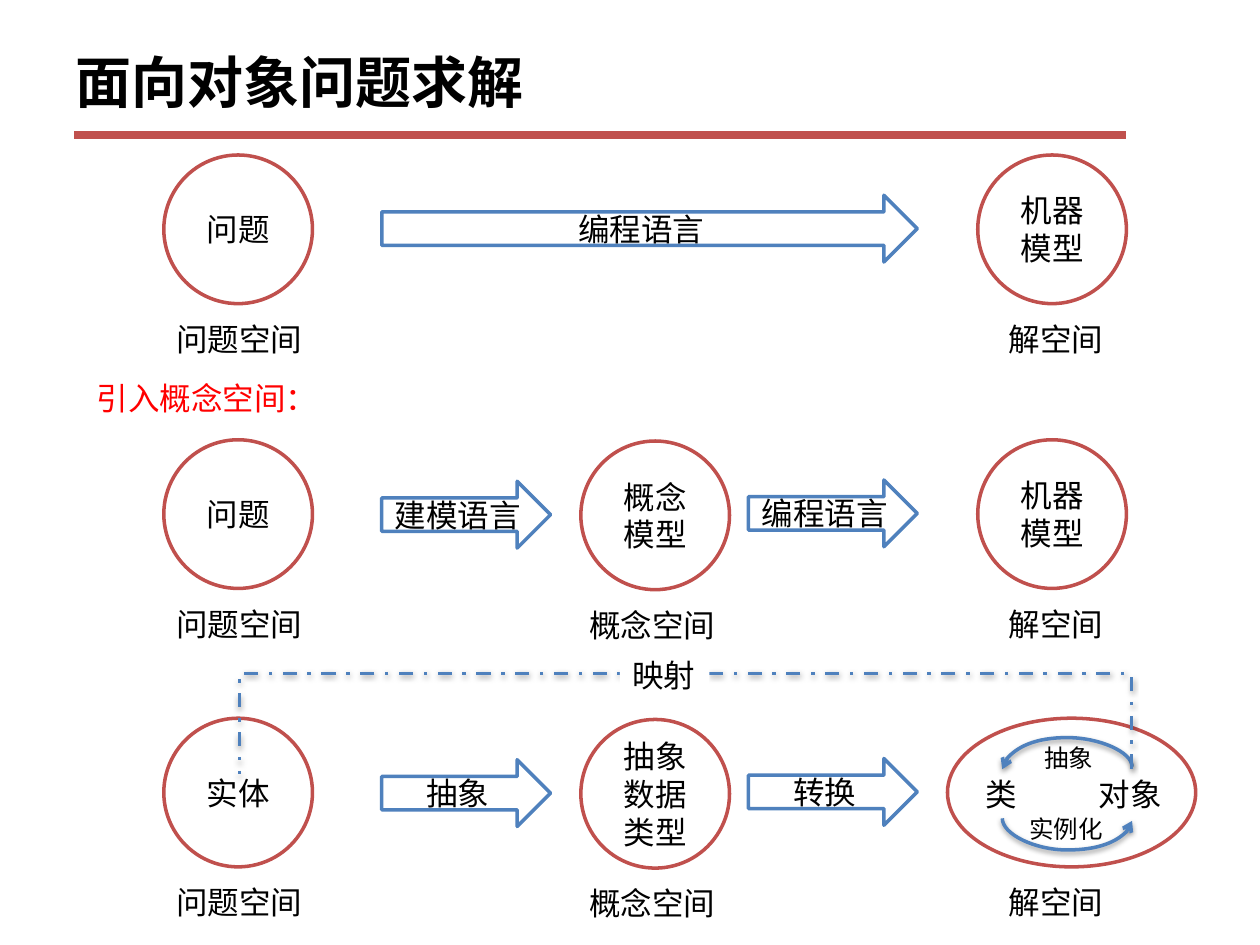
from lxml import etree
from pptx import Presentation
from pptx.dml.color import RGBColor
from pptx.enum import dml, shapes, text
from pptx.oxml.ns import qn
from pptx.util import Inches, Pt

FONT = "Noto Sans CJK SC"
RED, BLUE, BLACK, WHITE = "C0504D", "4F81BD", "000000", "FFFFFF"
DIAMETER = 1.18


def rgb(value):
    return RGBColor.from_string(value)


def inches(*values):
    return [Inches(v) for v in values]


def child(parent, tag, **attrs):
    return etree.SubElement(parent, qn(tag), {k: str(v) for k, v in attrs.items()})


def write(sp, words, size=18, color=BLACK, bold=False, align=None):
    p = sp.text_frame.paragraphs[0]
    p.alignment = align
    r = p.add_run()
    r.text = words
    r.font.name = FONT
    r.font.size = Pt(size)
    r.font.bold = bold
    r.font.color.rgb = rgb(color)
    child(r.font._element, "a:ea", typeface=FONT)


def add_label(slide, box, words, size=18, color=BLACK):
    sp = slide.shapes.add_textbox(*inches(*box))
    sp.text_frame.word_wrap = False
    sp.text_frame.auto_size = text.MSO_AUTO_SIZE.SHAPE_TO_FIT_TEXT
    write(sp, words, size, color)
    return sp


def add_outlined(slide, kind, box, color, words=None):
    sp = slide.shapes.add_shape(kind, *inches(*box))
    sp.shadow.inherit = False
    sp.fill.solid()
    sp.fill.fore_color.rgb = rgb(WHITE)
    sp.line.color.rgb = rgb(color)
    sp.line.width = Pt(2)
    sp.text_frame.vertical_anchor = text.MSO_ANCHOR.MIDDLE
    if words:
        write(sp, words, align=text.PP_ALIGN.CENTER)


def add_line(slide, kind, begin, end, color, width):
    line = slide.shapes.add_connector(kind, *inches(*begin, *end))
    line.line.color.rgb = rgb(color)
    line.line.width = Pt(width)
    effects = child(line._element.spPr, "a:effectLst")
    return line, effects


def add_loop(slide, kind, begin, end, turn, bend, arrow=None, dash=None):
    line, effects = add_line(slide, kind, begin, end, BLUE, 2)
    props = line._element.spPr
    props.find(qn("a:xfrm")).set("rot", str(turn * 60000))
    guides = props.find(qn("a:prstGeom")).find(qn("a:avLst"))
    if guides is None:
        guides = child(props.find(qn("a:prstGeom")), "a:avLst")
    child(guides, "a:gd", name="adj1", fmla=f"val {round(bend * 100000)}")
    if dash:
        line.line.dash_style = dash
    if arrow:
        child(props.find(qn("a:ln")), arrow, type="arrow")
    shadow = child(effects, "a:outerShdw", blurRad=Pt(3.1), dist=Pt(1.6),
                   dir=90 * 60000, rotWithShape=0)
    child(child(shadow, "a:srgbClr", val=BLACK), "a:alpha", val=38000)


def add_header(slide, left, top, width, height):
    sp = slide.shapes.add_textbox(*inches(left, top, width, height))
    sp.text_frame.word_wrap = True
    sp.text_frame.vertical_anchor = text.MSO_ANCHOR.MIDDLE
    write(sp, "面向对象问题求解", 32, bold=True)
    add_line(slide, shapes.MSO_CONNECTOR.STRAIGHT, (0.59, 1.07), (8.94, 1.07), RED, 4.5)


def add_space(slide, left, top, width, words, label, label_left, label_width):
    add_outlined(slide, shapes.MSO_SHAPE.OVAL, (left, top, width, DIAMETER), RED, words)
    add_label(slide, (label_left, top + 1.26, label_width, 0.4), label)


def add_arrow(slide, left, top, width, words):
    add_outlined(slide, shapes.MSO_SHAPE.RIGHT_ARROW, (left, top + 0.32, width, 0.53), BLUE, words)


def add_row(slide, top, problem, solution, arrows, concept=None, solution_box=(7.76, DIAMETER)):
    add_space(slide, 1.3, top, DIAMETER, problem, "问题空间", 1.3, 1.21)
    add_space(slide, solution_box[0], top, solution_box[1], solution, "解空间", 7.91, 0.96)
    if concept:
        add_space(slide, 4.61, top + 0.01, DIAMETER, concept, "概念空间", 4.58, 1.21)
        add_arrow(slide, 3.03, top + 0.01, 1.34, arrows[0])
        add_arrow(slide, 5.94, top, 1.34, arrows[1])
    else:
        add_arrow(slide, 3.03, top, 4.25, arrows[0])


def add_class_cycle(slide, left, top):
    add_label(slide, (left, top + 0.4, 0.45, 0.4), "类")
    add_label(slide, (left + 0.9, top + 0.4, 0.71, 0.4), "对象")
    x, upper, lower = left + 0.74, top - 0.12, top + 0.29
    curve = shapes.MSO_CONNECTOR.CURVE
    add_loop(slide, curve, (x + 0.02, upper + 1.03), (x, upper), 90, 12.5, "a:headEnd")
    add_loop(slide, curve, (x + 0.02, lower), (x, lower + 1.03), 270, 12.5, "a:tailEnd")
    add_label(slide, (left + 0.35, top + 0.71, 0.79, 0.34), "实例化", 14)
    add_label(slide, (left + 0.47, top + 0.15, 0.59, 0.34), "抽象", 14)


def add_mapping(slide, left, top, width, height):
    add_loop(slide, shapes.MSO_CONNECTOR.ELBOW, (left + width, top + height), (left, top),
             270, -18.82, dash=dml.MSO_LINE.DASH_DOT)
    sp = add_label(slide, (4.92, 5.16, 0.71, 0.4), "映射")
    sp.fill.solid()
    sp.fill.fore_color.rgb = rgb(WHITE)


def main():
    prs = Presentation()
    prs.slide_width, prs.slide_height = inches(10, 7.5)
    slide = prs.slides.add_slide(prs.slide_layouts[6])
    add_header(slide, 0.5, 0.21, 9, 0.87)
    add_row(slide, 1.23, "问题", "机器模型", ["编程语言"])
    add_label(slide, (0.67, 2.96, 1.97, 0.4), "引入概念空间：", color="FF0000")
    add_row(slide, 3.49, "问题", "机器模型", ["建模语言", "编程语言"], "概念模型")
    add_row(slide, 5.7, "实体", None, ["抽象", "转换"], "抽象数据类型", (7.52, 1.97))
    add_class_cycle(slide, 7.72, 5.7)
    add_mapping(slide, 5.42, 2.58, 0.04, 7.08)
    prs.save("out.pptx")


if __name__ == "__main__":
    main()
